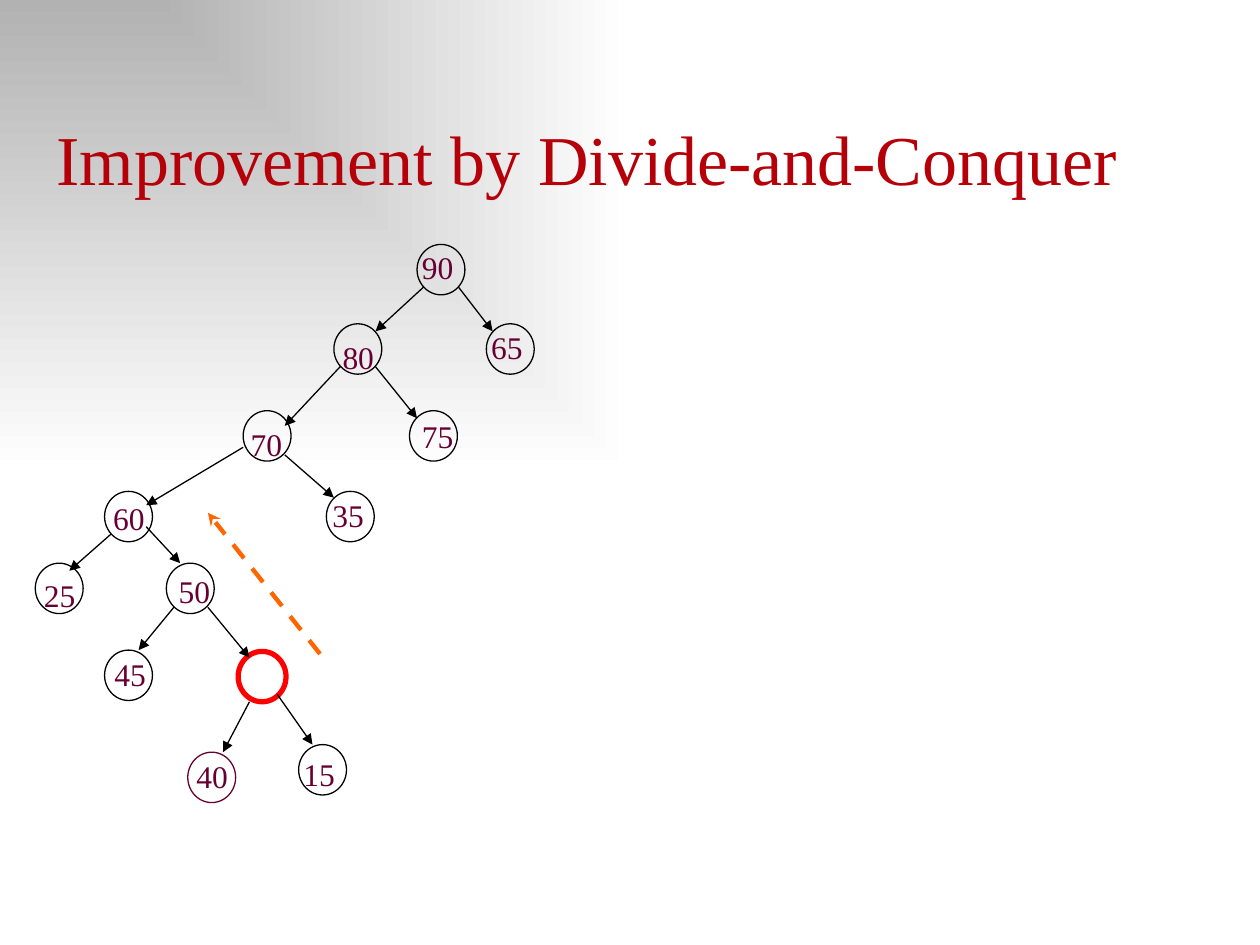
from lxml import etree
from pptx import Presentation
from pptx.dml.color import RGBColor
from pptx.enum import dml, shapes, text
from pptx.oxml import ns
from pptx.util import Inches, Pt

FONT = "Times New Roman"
RED_TITLE = RGBColor(0xB6, 0x00, 0x09)
PLUM = RGBColor(0x66, 0x00, 0x33)
BLACK = RGBColor(0x00, 0x00, 0x00)
RED = RGBColor(0xFF, 0x00, 0x00)
ORANGE = RGBColor(0xFF, 0x66, 0x00)
GRAY = RGBColor(0xB2, 0xB2, 0xB2)
WHITE = RGBColor(0xFF, 0xFF, 0xFF)

TITLE = "Improvement by Divide-and-Conquer"
NODE_WIDTH, NODE_HEIGHT = 0.38, 0.4
LABEL_WIDTH, LABEL_HEIGHT = 0.55, 0.69

# Heap nodes: key, circle left and top, label left and top
NODES = [
    ("90", (3.31, 1.94), (3.25, 1.92)),
    ("80", (2.65, 2.57), (2.62, 2.63)),
    ("65", (3.86, 2.57), (3.8, 2.55)),
    ("70", (1.93, 3.26), (1.89, 3.32)),
    ("75", (3.25, 3.26), (3.25, 3.26)),
    ("60", (0.83, 3.9), (0.8, 3.91)),
    ("35", (2.59, 3.9), (2.54, 3.89)),
    ("25", (0.28, 4.47), (0.25, 4.52)),
    ("50", (1.32, 4.47), (1.32, 4.49)),
    ("45", (0.83, 5.16), (0.81, 5.15)),
    ("40", (1.49, 5.97), (1.46, 5.96)),
    ("15", (2.37, 5.91), (2.31, 5.94)),
]
OUTLINES = {"40": PLUM}
HOLE = (1.89, 5.17)

# Parent-to-child arrows: start, end
EDGES = [
    ((3.36, 2.28), (2.98, 2.63)),
    ((3.64, 2.28), (3.91, 2.63)),
    ((2.7, 2.91), (2.26, 3.38)),
    ((2.98, 2.91), (3.31, 3.32)),
    ((1.93, 3.55), (1.16, 4.01)),
    ((2.26, 3.61), (2.65, 3.95)),
    ((0.88, 4.24), (0.55, 4.53)),
    ((1.16, 4.18), (1.43, 4.47)),
    ((1.38, 4.82), (1.1, 5.16)),
    ((1.65, 4.82), (1.98, 5.22)),
    ((1.98, 5.57), (1.77, 5.97)),
    ((2.2, 5.51), (2.48, 5.91)),
]
SIFT_UP = ((2.54, 5.19), (1.65, 4.07))


def set_font(paragraph, size, color):
    paragraph.font.name = FONT
    paragraph.font.size = Pt(size)
    paragraph.font.color.rgb = color


def add_circle(slide, position, color, width):
    left, top = position
    circle = slide.shapes.add_shape(
        shapes.MSO_SHAPE.OVAL, Inches(left), Inches(top),
        Inches(NODE_WIDTH), Inches(NODE_HEIGHT))
    circle.shadow.inherit = False
    circle.fill.background()
    circle.line.color.rgb = color
    circle.line.width = Pt(width)


def add_label(slide, key, position):
    left, top = position
    label = slide.shapes.add_textbox(
        Inches(left), Inches(top), Inches(LABEL_WIDTH), Inches(LABEL_HEIGHT))
    label.text_frame.word_wrap = True
    paragraph = label.text_frame.paragraphs[0]
    paragraph.text = key
    paragraph.alignment = text.PP_ALIGN.JUSTIFY
    set_font(paragraph, 18, PLUM)


def add_arrow(slide, start, end, color=BLACK, width=0.75, head="triangle", dash=None):
    arrow = slide.shapes.add_connector(
        shapes.MSO_CONNECTOR.STRAIGHT, *map(Inches, start + end))
    arrow.line.color.rgb = color
    arrow.line.width = Pt(width)
    if dash is not None:
        arrow.line.dash_style = dash
    etree.SubElement(arrow.line._get_or_add_ln(), ns.qn("a:tailEnd"), type=head)
    etree.SubElement(arrow._element.spPr, ns.qn("a:effectLst"))


def set_background(slide):
    fill = slide.background.fill
    fill.gradient()
    for stop, color in zip(fill.gradient_stops, (GRAY, WHITE)):
        stop.color.rgb = color
    # Spread the gradient from the top left corner
    linear = next(slide._element.iter(ns.qn("a:lin")))
    corner = etree.Element(ns.qn("a:path"), path="rect")
    etree.SubElement(corner, ns.qn("a:fillToRect"), r="100000", b="100000")
    linear.getparent().replace(linear, corner)


def main():
    presentation = Presentation()
    presentation.slide_width, presentation.slide_height = Inches(10), Inches(7.5)
    slide = presentation.slides.add_slide(presentation.slide_layouts[5])
    set_background(slide)

    # Title
    title = slide.shapes.title
    title.left, title.top = Inches(0.35), Inches(0.86)
    title.width, title.height = Inches(9.45), Inches(0.77)
    frame = title.text_frame
    frame.text = TITLE
    frame.vertical_anchor = text.MSO_ANCHOR.BOTTOM
    frame.auto_size = text.MSO_AUTO_SIZE.SHAPE_TO_FIT_TEXT
    frame.paragraphs[0].alignment = text.PP_ALIGN.LEFT
    set_font(frame.paragraphs[0], 40, RED_TITLE)

    # Heap
    for key, circle_position, label_position in NODES:
        add_label(slide, key, label_position)
        add_circle(slide, circle_position, OUTLINES.get(key, BLACK), 0.75)
    add_circle(slide, HOLE, RED, 3)
    for start, end in EDGES:
        add_arrow(slide, start, end)

    # Direction of the search
    add_arrow(slide, *SIFT_UP, ORANGE, 2.5, "stealth", dml.MSO_LINE.DASH)

    presentation.save("out.pptx")


if __name__ == "__main__":
    main()
